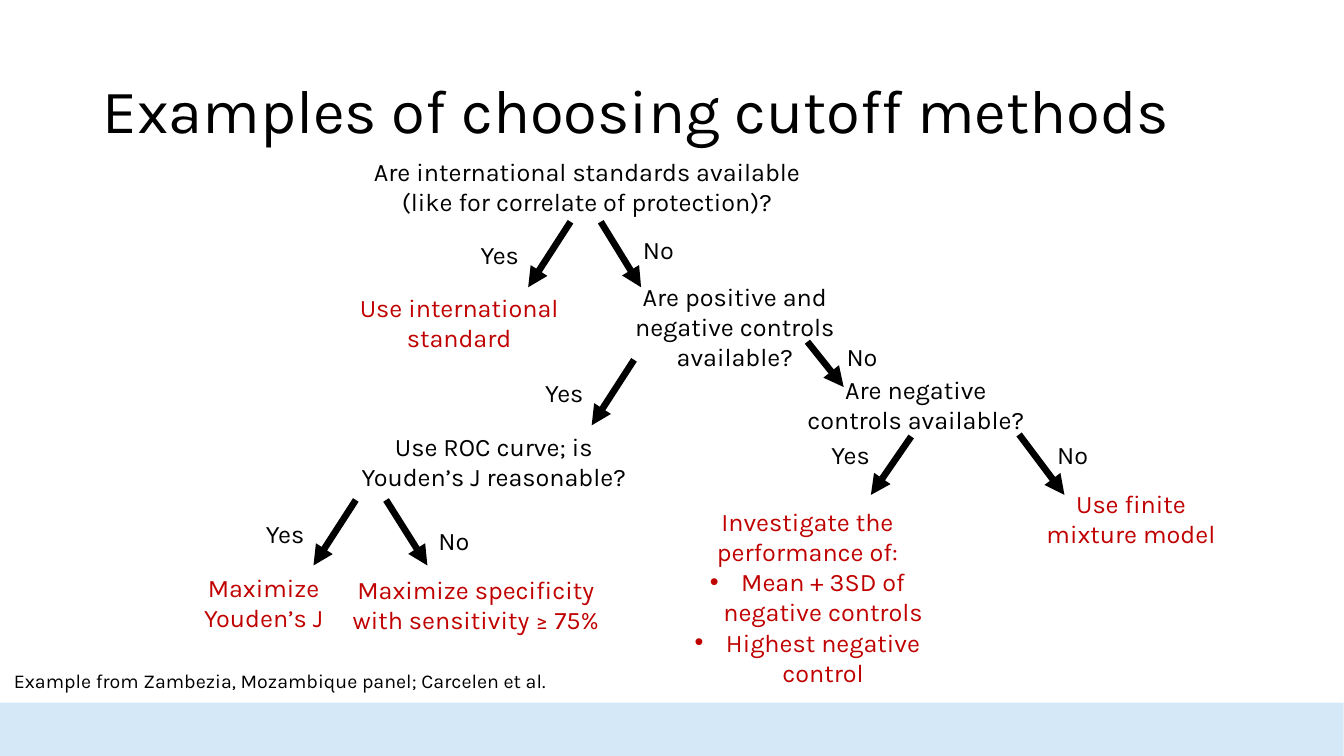
from pptx import Presentation
from pptx.dml.color import RGBColor
from pptx.enum.shapes import MSO_CONNECTOR as Connector, MSO_SHAPE as Shape
from pptx.enum.text import MSO_ANCHOR as Anchor, MSO_AUTO_SIZE as AutoSize, PP_ALIGN as Align
from pptx.oxml.ns import qn
from pptx.util import Inches, Pt
from lxml.etree import SubElement

# Content; lengths are grid cells, ten to the inch
CELL = 0.1
COLUMNS, ROWS = 133.33, 75
FONT = "Karla"
BLACK, RED, BLUE = "000000", "C00000", "66ABE5"

TITLE = "Examples of choosing cutoff methods"
SOURCE = "Example from Zambezia, Mozambique panel; Carcelen et al."
BAND = (-0.1, 69.7, 133.4, 5.5)
BAND_OPACITY = 27

# Left, top, width, text
QUESTIONS = [
    (36.1, 15, 44.3, "Are international standards available (like for correlate of protection)?"),
    (57.9, 27.4, 30, "Are positive and negative controls available?"),
    (34.5, 42.3, 29, "Use ROC curve; is Youden’s J reasonable?"),
    (78.9, 36.6, 23.9, "Are negative controls available?"),
]
METHODS = [
    (34.5, 28.5, 22.1, "Use international standard"),
    (15.1, 56.3, 22.1, "Maximize Youden’s J"),
    (32.7, 56.5, 29, "Maximize specificity with sensitivity ≥ 75%"),
    (102.1, 47.9, 20.2, "Use finite mixture model"),
]
INVESTIGATE = (66.7, 49.7, 26.8, 19.2)
INVESTIGATE_LINES = [
    "Investigate the performance of:",
    "Mean + 3SD of negative controls",
    "Highest negative control",
]

# Answer, label position, arrow start, arrow end
BRANCHES = [
    ("Yes", (46.7, 23.3), (56.6, 22), (52.4, 28.5)),
    ("No", (62.8, 22.8), (59.6, 22), (63.6, 28.5)),
    ("Yes", (53.1, 36.9), (62.9, 35.7), (58.7, 42.2)),
    ("No", (83, 33.4), (80.1, 33.9), (83.7, 38.4)),
    ("Yes", (25.4, 50.9), (35.3, 49.6), (31.1, 56.1)),
    ("No", (42.5, 51.6), (38.3, 49.6), (42.4, 56.1)),
    ("Yes", (81.5, 43.1), (90.4, 43.3), (86.4, 49.1)),
    ("No", (103.9, 43.1), (101.1, 43.1), (105.6, 49.1)),
]


def cells(*counts):
    return [Inches(count * CELL) for count in counts]


def color(hex_string):
    return RGBColor.from_string(hex_string)


def add_bullet(para):
    properties = para._p.get_or_add_pPr()
    properties.set("marL", str(Inches(0.31)))
    properties.set("indent", str(Inches(-0.31)))
    SubElement(properties, qn("a:buFont")).set("typeface", "Arial")
    SubElement(properties, qn("a:buChar")).set("char", "•")


def add_text(slide, place, lines, ink=BLACK, size=18, align=Align.CENTER):
    box = slide.shapes.add_textbox(*cells(*place))
    frame = box.text_frame
    frame.word_wrap = True
    frame.auto_size = AutoSize.SHAPE_TO_FIT_TEXT
    frame.text = "\n".join(lines)
    for index, para in enumerate(frame.paragraphs):
        para.alignment = align
        if index:
            add_bullet(para)
        for span in para.runs:
            span.font.name = FONT
            span.font.size = Pt(size)
            span.font.color.rgb = color(ink)
    return frame


def add_arrow(slide, start, end):
    arrow = slide.shapes.add_connector(Connector.STRAIGHT, *cells(*start, *end))
    arrow.line.color.rgb = color(BLACK)
    arrow.line.width = Pt(4.75)
    SubElement(arrow.line._get_or_add_ln(), qn("a:tailEnd")).set("type", "triangle")
    SubElement(arrow._element.spPr, qn("a:effectLst"))


def add_band(slide):
    band = slide.shapes.add_shape(Shape.RECTANGLE, *cells(*BAND))
    band.shadow.inherit = False
    band.line.fill.background()
    band.fill.solid()
    band.fill.fore_color.rgb = color(BLUE)
    tint = band._element.spPr.find(qn("a:solidFill"))[0]
    SubElement(tint, qn("a:alpha")).set("val", str(BAND_OPACITY * 1000))


def main():
    deck = Presentation()
    deck.slide_width, deck.slide_height = cells(COLUMNS, ROWS)
    slide = deck.slides.add_slide(deck.slide_layouts[6])

    # Footer band and title
    add_band(slide)
    title = add_text(slide, (9.2, 4, 115, 14.5), [TITLE], size=44, align=Align.LEFT)
    title.auto_size = AutoSize.NONE
    title.vertical_anchor = Anchor.MIDDLE
    title.paragraphs[0].line_spacing = 0.9

    # Questions in black, chosen methods in red
    for ink, nodes in ((BLACK, QUESTIONS), (RED, METHODS)):
        for left, top, width, text in nodes:
            add_text(slide, (left, top, width, 7.1), [text], ink)
    add_text(slide, INVESTIGATE, INVESTIGATE_LINES, RED)

    # Branches with their answers
    for answer, label, start, end in BRANCHES:
        add_arrow(slide, start, end)
        add_text(slide, (*label, 7.3, 4), [answer], align=Align.LEFT)

    # Source line
    add_text(slide, (0.4, 65.9, 66.7, 3.4), [SOURCE], size=14, align=Align.LEFT)
    deck.save("out.pptx")


if __name__ == "__main__":
    main()
